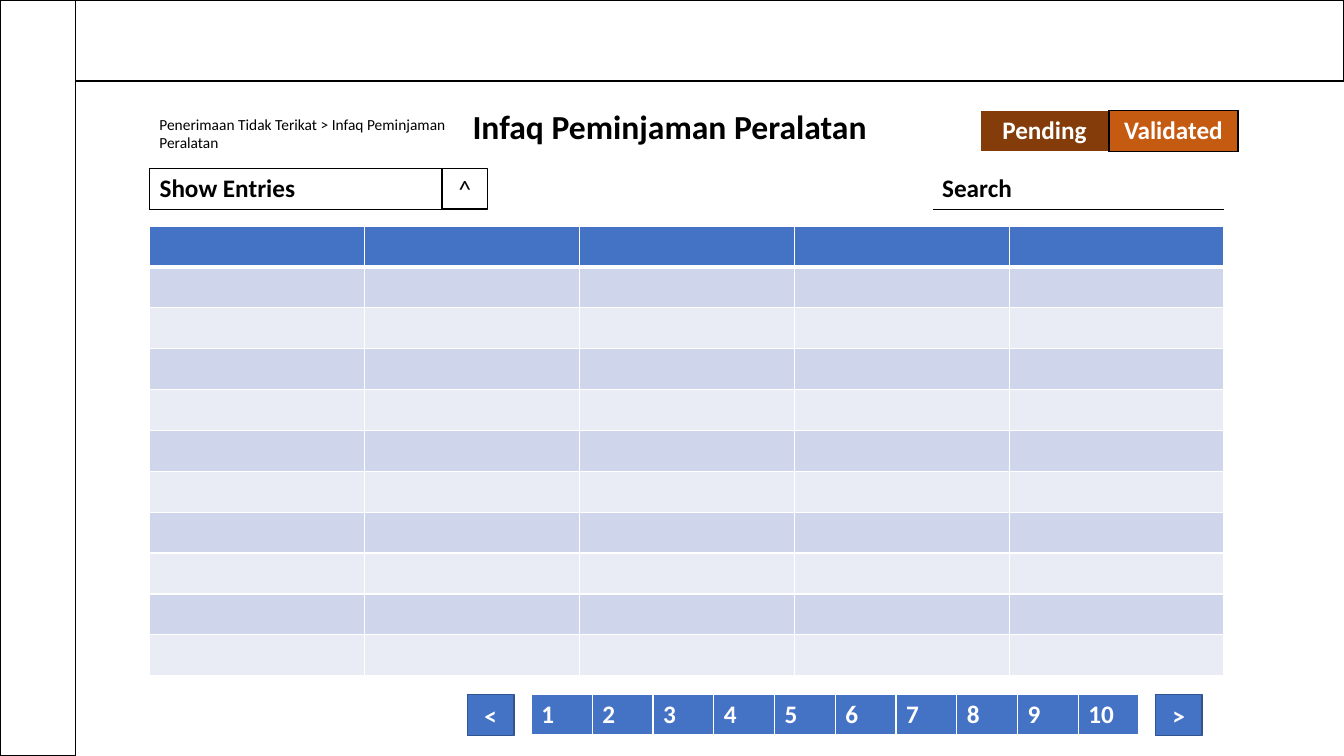
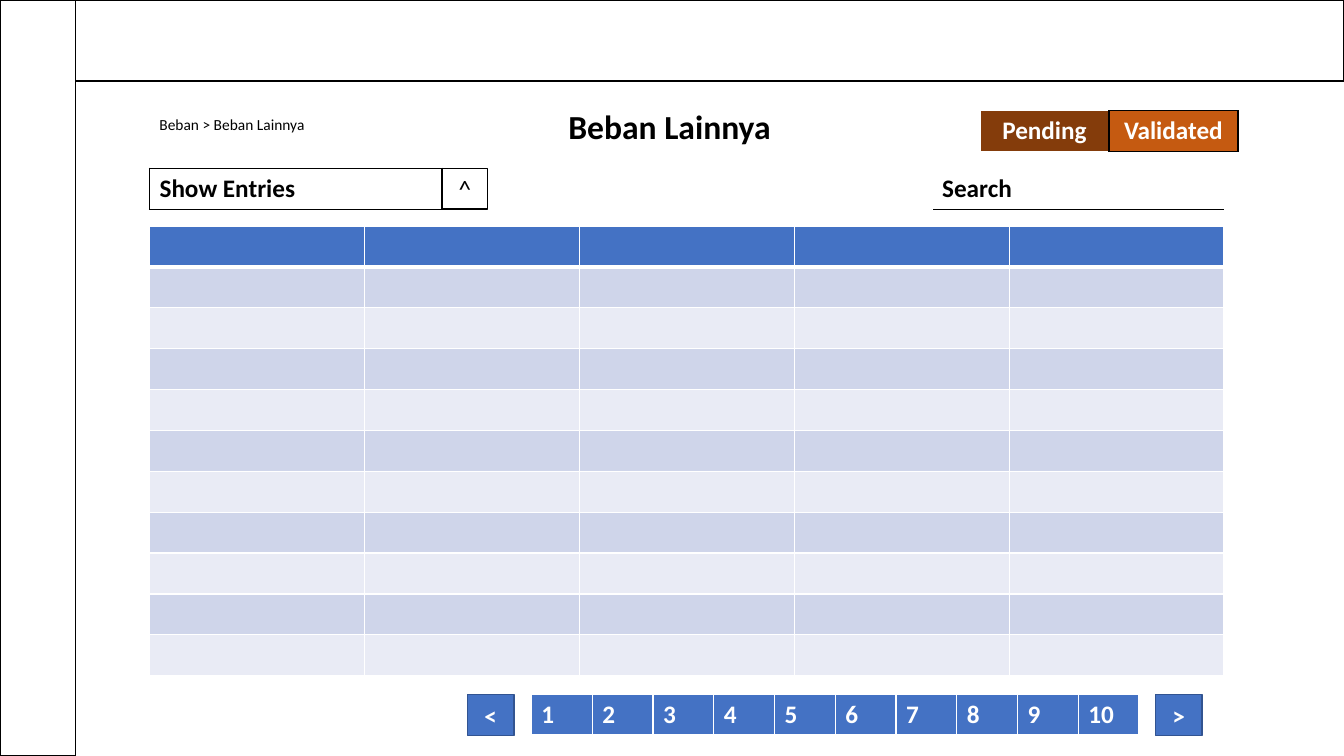
from dataclasses import dataclass
from lxml.etree import SubElement
from pptx import Presentation
from pptx.dml.color import RGBColor
from pptx.enum.shapes import MSO_SHAPE as Shape
from pptx.enum.text import MSO_ANCHOR as Anchor, MSO_AUTO_SIZE as Fit, PP_ALIGN as Align
from pptx.oxml.ns import qn
from pptx.util import Pt

# Content: title, breadcrumb, breadcrumb width
PAGES = [
    ("Infaq Peminjaman Peralatan",
     "Penerimaan Tidak Terikat > Infaq Peminjaman Peralatan", 227),
    ("Beban Lainnya", "Beban > Beban Lainnya", 192),
]
TABS = ["Pending", "Validated"]
NUMS = [str(n) for n in range(1, 11)]
ROWS, COLS = 11, 5


@dataclass(frozen=True)
class Theme:
    font: str = "Calibri"
    head: int = 24
    body: int = 18
    small: int = 11
    ink: str = "000000"
    paper: str = "FFFFFF"
    blue: str = "4472C4"
    edge: str = "325491"
    odd: str = "CFD5EA"
    even: str = "E9EBF5"
    brown: str = "843C0B"
    rust: str = "C55A11"


T = Theme()

# Layout in points
WIDE, HIGH = 960, 540
TOP, SIDE = 58, 54
LEFT, ROW = 106.8, 29.2
GRID = 767.5
FIELD = 209
TOOLS, BODY, FOOT = 120.2, 161.5, 496.1
BTN = 33.5


def write(frame, text, size, color, bold=False, align=Align.LEFT):
    frame.text = text
    para = frame.paragraphs[0]
    para.alignment = align
    for run in para.runs:
        font = run.font
        font.name, font.size, font.bold = T.font, Pt(size), bold
        font.color.rgb = RGBColor.from_string(color)


def paint(fill, color):
    if color:
        fill.solid()
        fill.fore_color.rgb = RGBColor.from_string(color)
    else:
        fill.background()


def box(slide, x, y, w, h, fill, line, text="", color=T.ink, bold=False):
    rect = slide.shapes.add_shape(Shape.RECTANGLE, Pt(x), Pt(y), Pt(w), Pt(h))
    rect.shadow.inherit = False
    paint(rect.fill, fill)
    rect.line.color.rgb = RGBColor.from_string(line)
    rect.line.width = Pt(1)
    if text:
        frame = rect.text_frame
        frame.vertical_anchor = Anchor.MIDDLE
        write(frame, text, T.body, color, bold, Align.CENTER)


def style(cell, fill, **sides):
    """Fill a cell and rule its sides; white 1 pt unless a side is given."""
    paint(cell.fill, fill)
    props = cell._tc.get_or_add_tcPr()
    for spot, side in enumerate("LRTB"):
        color, width = sides.get(side, (T.paper, 1))
        line = SubElement(props, qn(f"a:ln{side}"), w=str(Pt(width)))
        solid = SubElement(line, qn("a:solidFill"))
        SubElement(solid, qn("a:srgbClr"), val=color)
        props.insert(spot, line)


def table(slide, x, y, w, rows, cols):
    frame = slide.shapes.add_table(rows, cols, Pt(x), Pt(y), Pt(w), Pt(ROW * rows))
    grid = frame.table
    for col in grid.columns:
        col.width = Pt(w / cols)
    for row in grid.rows:
        row.height = Pt(ROW)
    return grid


def strip(slide, x, y, w, words, color, align=Align.LEFT):
    """A one-row table of bold words; returns its cells."""
    grid = table(slide, x, y, w, 1, len(words))
    cells = list(grid.rows[0].cells)
    for cell, word in zip(cells, words):
        write(cell.text_frame, word, T.body, color, True, align)
    return cells


def bands(slide):
    box(slide, 0, 0, WIDE, TOP, T.paper, T.ink)
    box(slide, 0, 0, SIDE, HIGH, T.paper, T.ink)


def heading(slide, title, trail, width):
    name = slide.shapes.title
    name.left, name.top, name.width, name.height = Pt(286.8), Pt(72), Pt(383), Pt(36.4)
    name.text_frame.auto_size = Fit.NONE
    name.text_frame.vertical_anchor = Anchor.TOP
    write(name.text_frame, title, T.head, T.ink, True, Align.CENTER)

    crumb = slide.shapes.add_textbox(Pt(LEFT), Pt(78.6), Pt(width), Pt(21))
    crumb.text_frame.word_wrap = True
    write(crumb.text_frame, trail, T.small, T.ink)


def tools(slide):
    rule = (T.ink, 1)
    frame = dict.fromkeys("LRTB", rule)

    # Status tabs
    wait, done = strip(slide, 700, 79.2, 184.3, TABS, T.paper, Align.CENTER)
    style(wait, T.brown, R=rule)
    style(done, T.rust, **frame)

    # Search field and entry picker
    [find] = strip(slide, LEFT + GRID - FIELD + 0.5, TOOLS, FIELD, ["Search"], T.ink)
    style(find, None, B=rule)
    [show] = strip(slide, LEFT, TOOLS, FIELD, ["Show Entries"], T.ink)
    style(show, None, **frame)
    box(slide, LEFT + FIELD, TOOLS, 32.6, ROW, None, T.ink, "^")


def entries(slide):
    grid = table(slide, LEFT, BODY, GRID, ROWS, COLS)
    thick = (T.paper, 3)
    for r, row in enumerate(grid.rows):
        for cell in row.cells:
            if r == 0:
                style(cell, T.blue, B=thick)
            elif r == 1:
                style(cell, T.odd, T=thick)
            else:
                style(cell, T.odd if r % 2 else T.even)


def pager(slide):
    for cell in strip(slide, 379.6, FOOT, 434, NUMS, T.paper):
        style(cell, T.blue, B=(T.paper, 3))
    for x, mark in [(333.8, "<"), (825.2, ">")]:
        box(slide, x, FOOT, BTN, ROW, T.blue, T.edge, mark, T.paper, True)


# Build
deck = Presentation()
deck.slide_width, deck.slide_height = Pt(WIDE), Pt(HIGH)
for title, trail, width in PAGES:
    slide = deck.slides.add_slide(deck.slide_layouts[5])
    bands(slide)
    tools(slide)
    entries(slide)
    pager(slide)
    heading(slide, title, trail, width)
deck.save("out.pptx")
